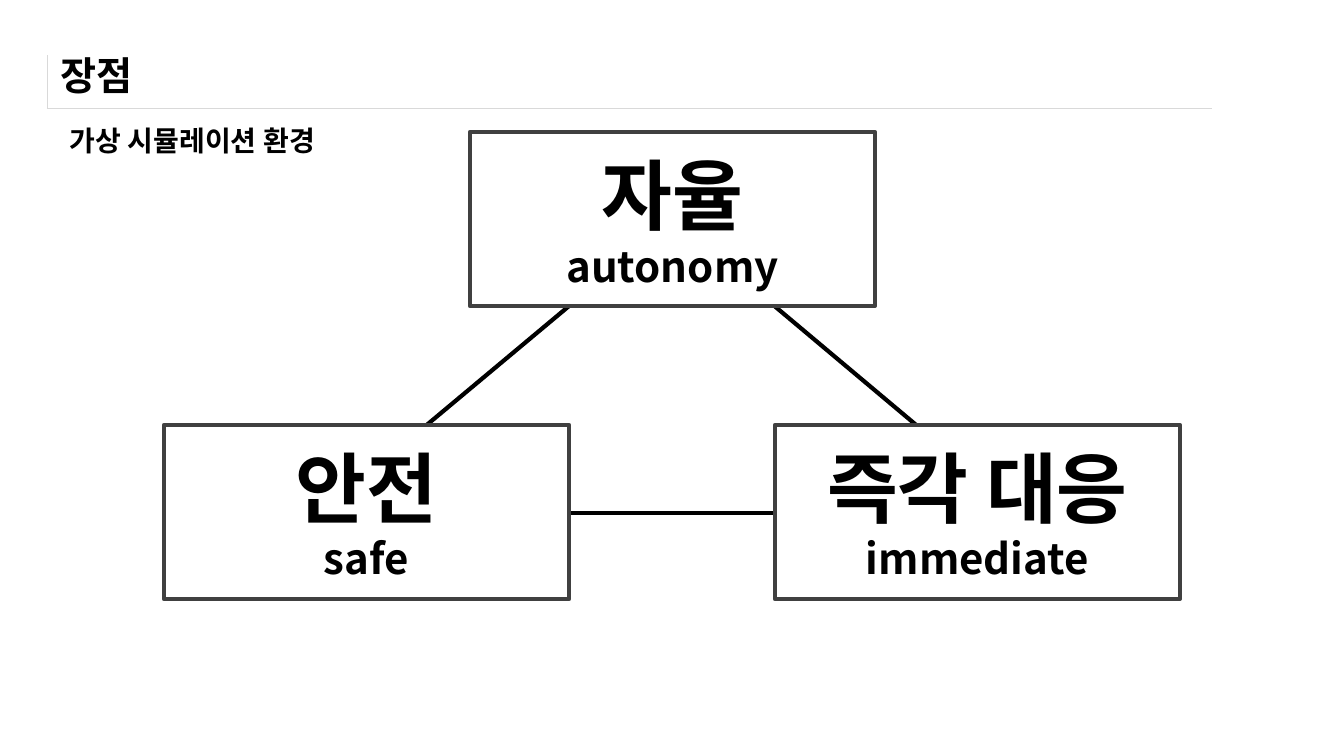
from lxml.etree import SubElement
from pptx import Presentation
from pptx.dml.color import RGBColor
from pptx.enum.shapes import MSO_CONNECTOR, MSO_SHAPE
from pptx.enum.text import MSO_ANCHOR, MSO_AUTO_SIZE, PP_ALIGN
from pptx.oxml.ns import qn
from pptx.util import Pt

EMU_PER_PIXEL = 914400 / 100.8
FONT = "Noto Sans CJK KR"
COLORS = {"text": "000000", "link": "000000", "border": "404040",
          "fill": "FFFFFF", "rule": "D9D9D9"}

# Card grid
CARD_WIDTH, CARD_HEIGHT = 405, 174
TOP_ROW, BOTTOM_ROW = 132, 425
LEFT_X, MIDDLE_X, RIGHT_X = 164, 470, 775


def px(*lengths):
    return [round(length * EMU_PER_PIXEL) for length in lengths]


def color(name):
    return RGBColor.from_string(COLORS[name])


def write(para, text, size, align=PP_ALIGN.LEFT):
    para.text = text
    para.alignment = align
    font = para.font
    font.name, font.size, font.bold = FONT, Pt(size), True
    font.color.rgb = color("text")
    # The Hangul glyphs need the East Asian typeface too
    defaults = para._p.get_or_add_pPr().find(qn("a:defRPr"))
    SubElement(defaults, qn("a:ea"), typeface=FONT)


def add_header_rule(page, left, top, width, height):
    frame = page.shapes.add_table(1, 1, *px(left, top, width, height))
    table = frame.table
    table.first_row = table.horz_banding = False
    cell = table.cell(0, 0)
    properties = cell._tc.get_or_add_tcPr()
    for side in "LRTB":
        border = SubElement(properties, qn(f"a:ln{side}"), w=str(Pt(0.25)))
        if side in "LB":
            fill = SubElement(border, qn("a:solidFill"))
            SubElement(fill, qn("a:srgbClr"), val=COLORS["rule"])
        else:
            SubElement(border, qn("a:noFill"))
    cell.fill.background()


def set_title(page, text, left, top, width, height):
    title = page.shapes.title
    title.left, title.top, title.width, title.height = px(left, top, width, height)
    frame = title.text_frame
    frame.auto_size = MSO_AUTO_SIZE.NONE
    frame.vertical_anchor = MSO_ANCHOR.MIDDLE
    write(frame.paragraphs[0], text, 28)


def add_subtitle(page, text, left, top, width, height):
    box = page.shapes.add_textbox(*px(left, top, width, height))
    frame = box.text_frame
    frame.word_wrap = False
    frame.auto_size = MSO_AUTO_SIZE.SHAPE_TO_FIT_TEXT
    write(frame.paragraphs[0], text, 20)


def add_link(page, start, end):
    link = page.shapes.add_connector(MSO_CONNECTOR.STRAIGHT, *px(*start, *end))
    link.line.color.rgb = color("link")
    link.line.width = Pt(3)
    SubElement(link._element.spPr, qn("a:effectLst"))


def add_card(page, korean, english, left, top):
    card = page.shapes.add_shape(MSO_SHAPE.FLOWCHART_PROCESS,
                                 *px(left, top, CARD_WIDTH, CARD_HEIGHT))
    card.shadow.inherit = False
    card.fill.solid()
    card.fill.fore_color.rgb = color("fill")
    card.line.color.rgb = color("border")
    card.line.width = Pt(3)
    frame = card.text_frame
    frame.vertical_anchor = MSO_ANCHOR.MIDDLE
    write(frame.paragraphs[0], korean, 55, PP_ALIGN.CENTER)
    write(frame.add_paragraph(), english, 30, PP_ALIGN.CENTER)


def main():
    deck = Presentation()
    deck.slide_width, deck.slide_height = px(1344, 756)
    page = deck.slides.add_slide(deck.slide_layouts[5])

    # Header
    add_header_rule(page, 47, 55, 1165, 53)
    set_title(page, "장점", 50, 41, 1259, 68)
    add_subtitle(page, "가상 시뮬레이션 환경", 60, 119, 293, 44)

    # Links run behind the cards
    hub = (672, 220)
    middle_y = BOTTOM_ROW + CARD_HEIGHT // 2 + 1
    add_link(page, hub, (1021, middle_y))
    add_link(page, hub, (331, 505))
    add_link(page, (LEFT_X + CARD_WIDTH, middle_y), (RIGHT_X, middle_y))

    # Cards
    for korean, english, left, top in (
        ("안전", "safe", LEFT_X, BOTTOM_ROW),
        ("자율", "autonomy", MIDDLE_X, TOP_ROW),
        ("즉각 대응", "immediate", RIGHT_X, BOTTOM_ROW),
    ):
        add_card(page, korean, english, left, top)

    deck.save("out.pptx")


main()
